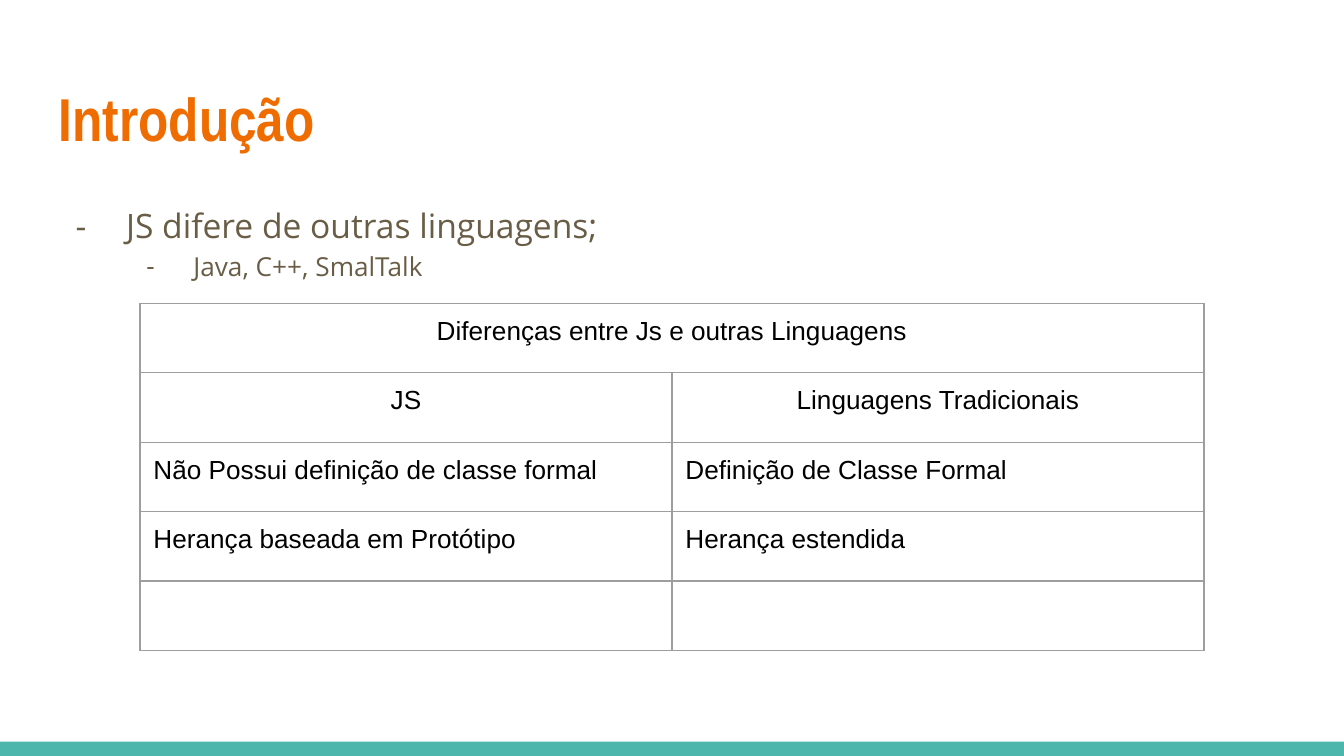
"""Build the "Introdução" slide comparing JS with other languages."""
from lxml.etree import SubElement
from pptx import Presentation
from pptx.dml.color import RGBColor
from pptx.enum.shapes import MSO_SHAPE
from pptx.enum.text import MSO_ANCHOR, PP_ALIGN
from pptx.oxml.ns import qn
from pptx.util import Pt

COLORS = {"orange": "EF6C00", "brown": "695D46", "teal": "4DB6AC",
          "black": "000000", "grey": "9E9E9E"}
TITLE = "Introdução"
BULLETS = [
    {"text": "JS difere de outras linguagens;", "size": 18, "left": 36, "hang": 27},
    {"text": "Java, C++, SmalTalk", "size": 14, "left": 72, "hang": 25.2},
]
TABLE_TITLE = "Diferenças entre Js e outras Linguagens"
ROWS = [
    (TABLE_TITLE, ""),
    ("JS", "Linguagens Tradicionais"),
    ("Não Possui definição de classe formal", "Definição de Classe Formal"),
    ("Herança baseada em Protótipo", "Herança estendida"),
    ("", ""),
]
CENTERED_ROWS = 2
INSET = 7.2
COLUMN_WIDTH, ROW_HEIGHT = 285, 37.2


def write(paragraph, text, *, font, size, color, bold=False, align=PP_ALIGN.LEFT):
    paragraph.alignment = align
    span = paragraph.add_run()
    span.text = text
    span.font.name = font
    span.font.size = Pt(size)
    span.font.bold = bold
    span.font.color.rgb = RGBColor.from_string(COLORS[color])


def add_box(page, left, top, width, height, anchor=MSO_ANCHOR.TOP):
    frame = page.shapes.add_textbox(Pt(left), Pt(top), Pt(width), Pt(height)).text_frame
    frame.word_wrap = True
    frame.vertical_anchor = anchor
    set_insets(frame)
    return frame


def set_insets(holder):
    for side in ("left", "top", "right", "bottom"):
        setattr(holder, f"margin_{side}", Pt(INSET))


def add_dash(paragraph, left, hang, color):
    properties = paragraph._p.get_or_add_pPr()
    properties.set("marL", str(Pt(left)))
    properties.set("indent", str(-Pt(hang)))
    tint = SubElement(properties, qn("a:buClr"))
    SubElement(tint, qn("a:srgbClr"), val=COLORS[color])
    SubElement(properties, qn("a:buFont"), typeface="Open Sans")
    SubElement(properties, qn("a:buChar"), char="-")


def add_borders(cell, color, width):
    properties = cell._tc.get_or_add_tcPr()
    for side in ("lnL", "lnR", "lnT", "lnB"):
        line = SubElement(properties, qn(f"a:{side}"), w=str(Pt(width)))
        fill = SubElement(line, qn("a:solidFill"))
        SubElement(fill, qn("a:srgbClr"), val=COLORS[color])


def add_footer(page):
    bar = page.shapes.add_shape(MSO_SHAPE.RECTANGLE, Pt(0), Pt(397.4), Pt(720), Pt(7.6))
    bar.shadow.inherit = False
    bar.fill.solid()
    bar.fill.fore_color.rgb = RGBColor.from_string(COLORS["teal"])
    bar.line.fill.background()


def add_comparison(page, left, top):
    columns = len(ROWS[0])
    table = page.shapes.add_table(
        len(ROWS), columns, Pt(left), Pt(top),
        Pt(COLUMN_WIDTH * columns), Pt(ROW_HEIGHT * len(ROWS))).table
    table.first_row = False
    table.horz_banding = False
    for column in table.columns:
        column.width = Pt(COLUMN_WIDTH)
    for index, texts in enumerate(ROWS):
        table.rows[index].height = Pt(ROW_HEIGHT)
        align = PP_ALIGN.CENTER if index < CENTERED_ROWS else PP_ALIGN.LEFT
        for position, text in enumerate(texts):
            cell = table.cell(index, position)
            set_insets(cell)
            add_borders(cell, "grey", 0.75)
            cell.fill.background()
            if text:
                write(cell.text_frame.paragraphs[0], text, font="Arial", size=14,
                      color="black", align=align)
    table.cell(0, 0).merge(table.cell(0, columns - 1))


def main():
    deck = Presentation()
    deck.slide_width, deck.slide_height = Pt(720), Pt(405)
    page = deck.slides.add_slide(deck.slide_layouts[6])
    add_footer(page)

    heading = add_box(page, 24.5, 35.3, 671, 55.4, MSO_ANCHOR.MIDDLE)
    write(heading.paragraphs[0], TITLE, font="Arial Narrow", size=32.4,
          color="orange", bold=True)

    body = add_box(page, 24.5, 99.4, 671, 260)
    for index, item in enumerate(BULLETS):
        paragraph = body.add_paragraph() if index else body.paragraphs[0]
        paragraph.level = index
        paragraph.line_spacing = 1.15
        add_dash(paragraph, item["left"], item["hang"], "brown")
        write(paragraph, item["text"], font="Open Sans", size=item["size"], color="brown")

    add_comparison(page, 75, 162.5)
    deck.save("out.pptx")


if __name__ == "__main__":
    main()
